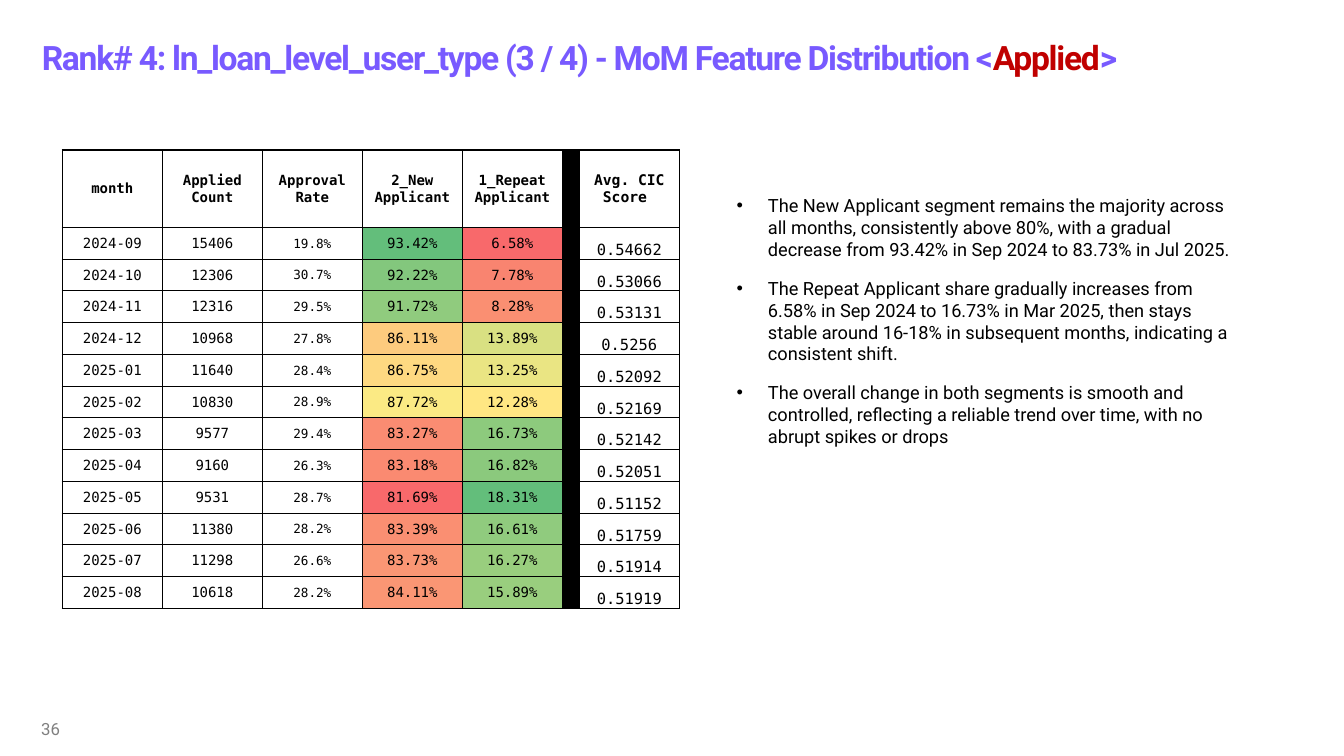
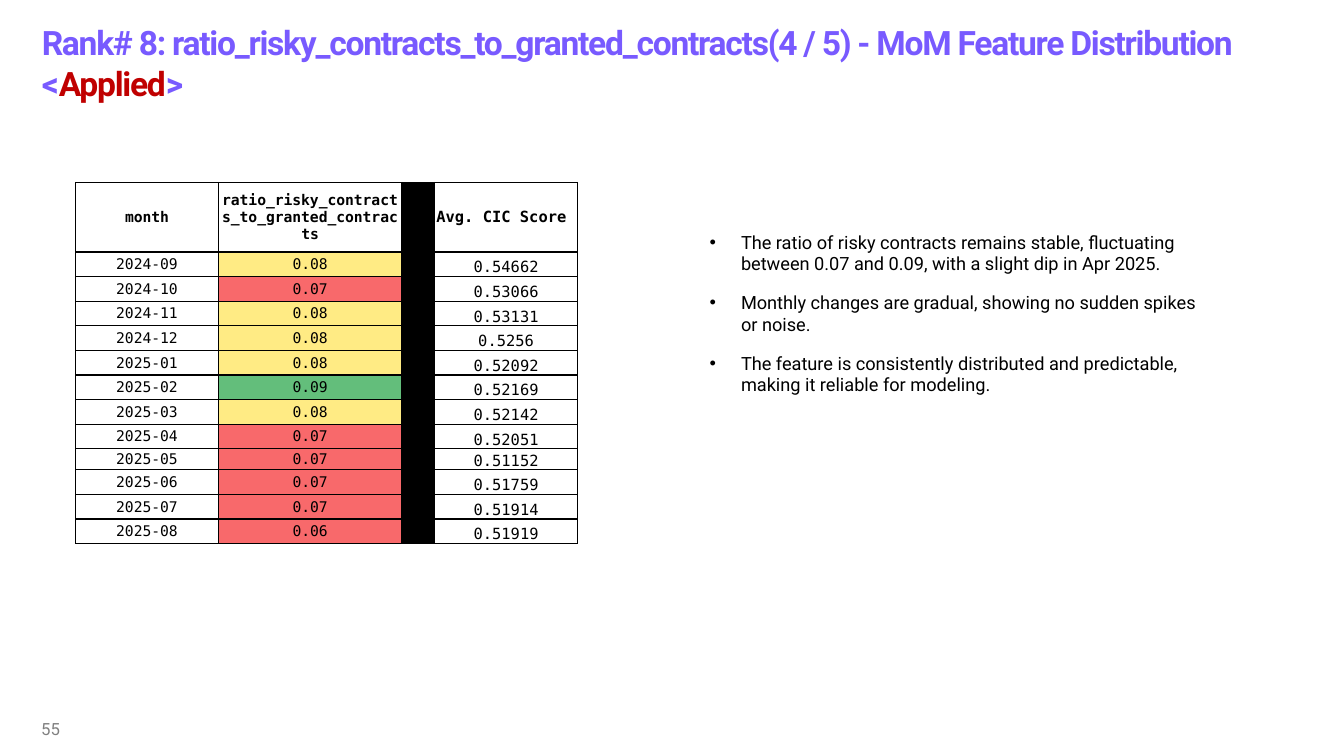
import lxml.etree
import pptx
import pptx.dml.color
import pptx.enum.text
import pptx.oxml.ns
import pptx.util

Cm = pptx.util.Cm
Pt = pptx.util.Pt
RGBColor = pptx.dml.color.RGBColor
Align = pptx.enum.text.PP_ALIGN
Anchor = pptx.enum.text.MSO_ANCHOR
qn = pptx.oxml.ns.qn

PURPLE = RGBColor(0x78, 0x5A, 0xFF)
DARK_RED = RGBColor(0xC0, 0x00, 0x00)
GRAY = RGBColor(0x80, 0x80, 0x80)
BLACK = RGBColor(0x00, 0x00, 0x00)
SCALE_LOW = RGBColor(0xF8, 0x69, 0x6B)
SCALE_MIDDLE = RGBColor(0xFF, 0xEB, 0x84)
SCALE_HIGH = RGBColor(0x63, 0xBE, 0x7B)

TEXT_FONT = "Roboto"
TABLE_FONT = "DejaVu Sans Mono"

MONTHS = ["2024-09", "2024-10", "2024-11", "2024-12", "2025-01", "2025-02",
          "2025-03", "2025-04", "2025-05", "2025-06", "2025-07", "2025-08"]
CIC_SCORES = ["0.54662", "0.53066", "0.53131", "0.5256", "0.52092", "0.52169",
              "0.52142", "0.52051", "0.51152", "0.51759", "0.51914", "0.51919"]
APPLIED_COUNTS = ["15406", "12306", "12316", "10968", "11640", "10830",
                  "9577", "9160", "9531", "11380", "11298", "10618"]
APPROVAL_RATES = ["19.8%", "30.7%", "29.5%", "27.8%", "28.4%", "28.9%",
                  "29.4%", "26.3%", "28.7%", "28.2%", "26.6%", "28.2%"]
NEW_SHARES = [93.42, 92.22, 91.72, 86.11, 86.75, 87.72,
              83.27, 83.18, 81.69, 83.39, 83.73, 84.11]
REPEAT_SHARES = [6.58, 7.78, 8.28, 13.89, 13.25, 12.28,
                 16.73, 16.82, 18.31, 16.61, 16.27, 15.89]
RISKY_RATIOS = [0.08, 0.07, 0.08, 0.08, 0.08, 0.09,
                0.08, 0.07, 0.07, 0.07, 0.07, 0.06]


def scale_colors(values, low, high):
    """Shade values from red through yellow to green, clamped to low and high."""
    middle = (low + high) / 2
    colors = []
    for value in values:
        position = (min(max(value, low), high) - middle) / (high - middle)
        end = SCALE_HIGH if position > 0 else SCALE_LOW
        colors.append(RGBColor(*(round(start + (stop - start) * abs(position))
                                 for start, stop in zip(SCALE_MIDDLE, end))))
    return colors


def share_column(heading, values):
    # The last month takes the shade of the month before it.
    shaded = values[:-1] + [values[-2]]
    return dict(heading=heading, width=2.52, texts=[f"{value:.2f}%" for value in values],
                fills=scale_colors(shaded, min(values), max(values)))


def separator_column(width):
    return dict(heading="", width=width, texts=[""] * len(MONTHS),
                fills=[BLACK] * len(MONTHS), heading_fill=BLACK)


def score_column(width, heading_size):
    return dict(heading="Avg. CIC Score ", width=width, texts=CIC_SCORES, size=11,
                heading_size=heading_size, anchor=Anchor.BOTTOM)


def add_text(paragraph, text, size, color=BLACK, font=TEXT_FONT, bold=False, spacing=None):
    run = paragraph.add_run()
    run.text = text
    run.font.name = font
    run.font.size = Pt(size)
    run.font.bold = bold
    run.font.color.rgb = color
    if spacing is not None:
        run.font._element.set("spc", str(round(spacing * 100)))


class Deck:
    def __init__(self):
        self.presentation = pptx.Presentation()
        self.presentation.slide_width = Cm(33.87)
        self.presentation.slide_height = Cm(19.05)
        self.slide = None

    def add_slide(self, number):
        layout = self.presentation.slide_layouts[1]
        self.slide = self.presentation.slides.add_slide(layout)
        shape = self.slide.shapes.add_textbox(Cm(0.79), Cm(17.86), Cm(7.62), Cm(1.02))
        shape.text_frame.word_wrap = True
        shape.text_frame.vertical_anchor = Anchor.MIDDLE
        add_text(shape.text_frame.paragraphs[0], number, 12, color=GRAY)

    def place(self, shape, left, top, width, height, anchor):
        shape.left, shape.top = Cm(left), Cm(top)
        shape.width, shape.height = Cm(width), Cm(height)
        frame = shape.text_frame
        frame.word_wrap = True
        frame.auto_size = pptx.enum.text.MSO_AUTO_SIZE.NONE
        frame.vertical_anchor = anchor
        return frame

    def title(self, feature, top, height, line_spacing=1.0):
        frame = self.place(self.slide.shapes.title, 0.8, top, 32.8, height, Anchor.MIDDLE)
        paragraph = frame.paragraphs[0]
        paragraph.alignment = Align.LEFT
        paragraph.line_spacing = line_spacing
        for text, color in ((f"{feature} - MoM Feature Distribution <", PURPLE),
                            ("Applied", DARK_RED), (">", PURPLE)):
            add_text(paragraph, text, 24, color=color, bold=True, spacing=-0.9)

    def bullets(self, texts, left, top, height):
        frame = self.place(self.slide.placeholders[1], left, top, 13.13, height, Anchor.TOP)
        for index, text in enumerate(texts):
            paragraph = frame.add_paragraph() if index else frame.paragraphs[0]
            properties = paragraph._p.get_or_add_pPr()
            properties.set("marL", str(Cm(0.79)))
            properties.set("indent", str(-Cm(0.79)))
            lxml.etree.SubElement(properties, qn("a:buFont")).set("typeface", "Arial")
            lxml.etree.SubElement(properties, qn("a:buChar")).set("char", "•")
            paragraph.space_before = Pt(0)
            paragraph.space_after = Pt(12)
            add_text(paragraph, text, 13)

    def cell(self, cell, text, size, bold=False, fill=None, anchor=Anchor.MIDDLE):
        cell.margin_left = cell.margin_right = cell.margin_top = Cm(0.02)
        cell.margin_bottom = 0
        cell.vertical_anchor = anchor
        properties = cell._tc.get_or_add_tcPr()
        for side in ("a:lnL", "a:lnR", "a:lnT", "a:lnB"):
            line = lxml.etree.SubElement(properties, qn(side), w=str(Pt(1)))
            solid = lxml.etree.SubElement(line, qn("a:solidFill"))
            lxml.etree.SubElement(solid, qn("a:srgbClr"), val=str(BLACK))
        if fill is None:
            cell.fill.background()
        else:
            cell.fill.solid()
            cell.fill.fore_color.rgb = fill
        paragraph = cell.text_frame.paragraphs[0]
        paragraph.alignment = Align.CENTER
        if text:
            add_text(paragraph, text, size, font=TABLE_FONT, bold=bold)
        else:
            # An empty cell needs a small font so that it does not stretch its row.
            lxml.etree.SubElement(paragraph._p, qn("a:endParaRPr"), sz="800")

    def table(self, columns, left, top, row_heights, size):
        width = sum(column["width"] for column in columns)
        table = self.slide.shapes.add_table(
            len(row_heights), len(columns), Cm(left), Cm(top),
            Cm(width), Cm(sum(row_heights))).table
        table.first_row = table.horz_banding = False
        for row, height in zip(table.rows, row_heights):
            row.height = Cm(height)
        for index, column in enumerate(columns):
            table.columns[index].width = Cm(column["width"])
            self.cell(table.cell(0, index), column["heading"],
                      column.get("heading_size", size), bold=True,
                      fill=column.get("heading_fill"))
            fills = column.get("fills", [None] * len(column["texts"]))
            for row, (text, fill) in enumerate(zip(column["texts"], fills), start=1):
                self.cell(table.cell(row, index), text, column.get("size", size),
                          fill=fill, anchor=column.get("anchor", Anchor.MIDDLE))


def user_type_slide(deck):
    deck.add_slide("36")
    deck.title("Rank# 4: ln_loan_level_user_type (3 / 4)", 0, 2.39, line_spacing=1.5)
    deck.bullets([
        "The New Applicant segment remains the majority across all months, consistently "
        "above 80%, with a gradual decrease from 93.42% in Sep 2024 to 83.73% in Jul 2025.",
        "The Repeat Applicant share gradually increases from 6.58% in Sep 2024 to 16.73% "
        "in Mar 2025, then stays stable around 16-18% in subsequent months, indicating a "
        "consistent shift.",
        "The overall change in both segments is smooth and controlled, reflecting a "
        "reliable trend over time, with no abrupt spikes or drops",
    ], 18.31, 4.78, 7.09)
    deck.table([
        dict(heading="month", width=2.52, texts=MONTHS),
        dict(heading="Applied Count", width=2.52, texts=APPLIED_COUNTS),
        dict(heading="Approval Rate", width=2.52, texts=APPROVAL_RATES, size=9,
             heading_size=10),
        share_column("2_New Applicant", NEW_SHARES),
        share_column("1_Repeat Applicant", REPEAT_SHARES),
        separator_column(0.43),
        score_column(2.52, 10.5),
    ], 1.57, 3.78, [1.95] + [0.8] * len(MONTHS), 10)


def risky_contracts_slide(deck):
    deck.add_slide("55")
    deck.title("Rank# 8: ratio_risky_contracts_to_granted_contracts(4 / 5)", 0.66, 1.83)
    deck.bullets([
        "The ratio of risky contracts remains stable, fluctuating between 0.07 and 0.09, "
        "with a slight dip in Apr 2025.",
        "Monthly changes are gradual, showing no sudden spikes or noise.",
        "The feature is consistently distributed and predictable, making it reliable "
        "for modeling.",
    ], 17.63, 5.69, 5.44)
    row_heights = [1.75] + [0.62] * len(MONTHS)
    row_heights[1 + MONTHS.index("2025-05")] = 0.53
    deck.table([
        dict(heading="month", width=3.59, texts=MONTHS),
        dict(heading="ratio_risky_contracts_to_granted_contracts", width=4.63,
             texts=[f"{ratio:.2f}" for ratio in RISKY_RATIOS],
             fills=scale_colors(RISKY_RATIOS, 0.07, 0.09)),
        separator_column(0.83),
        score_column(3.59, 11),
    ], 1.91, 4.6, row_heights, 10.5)


def main():
    deck = Deck()
    user_type_slide(deck)
    risky_contracts_slide(deck)
    deck.presentation.save("out.pptx")


if __name__ == "__main__":
    main()
